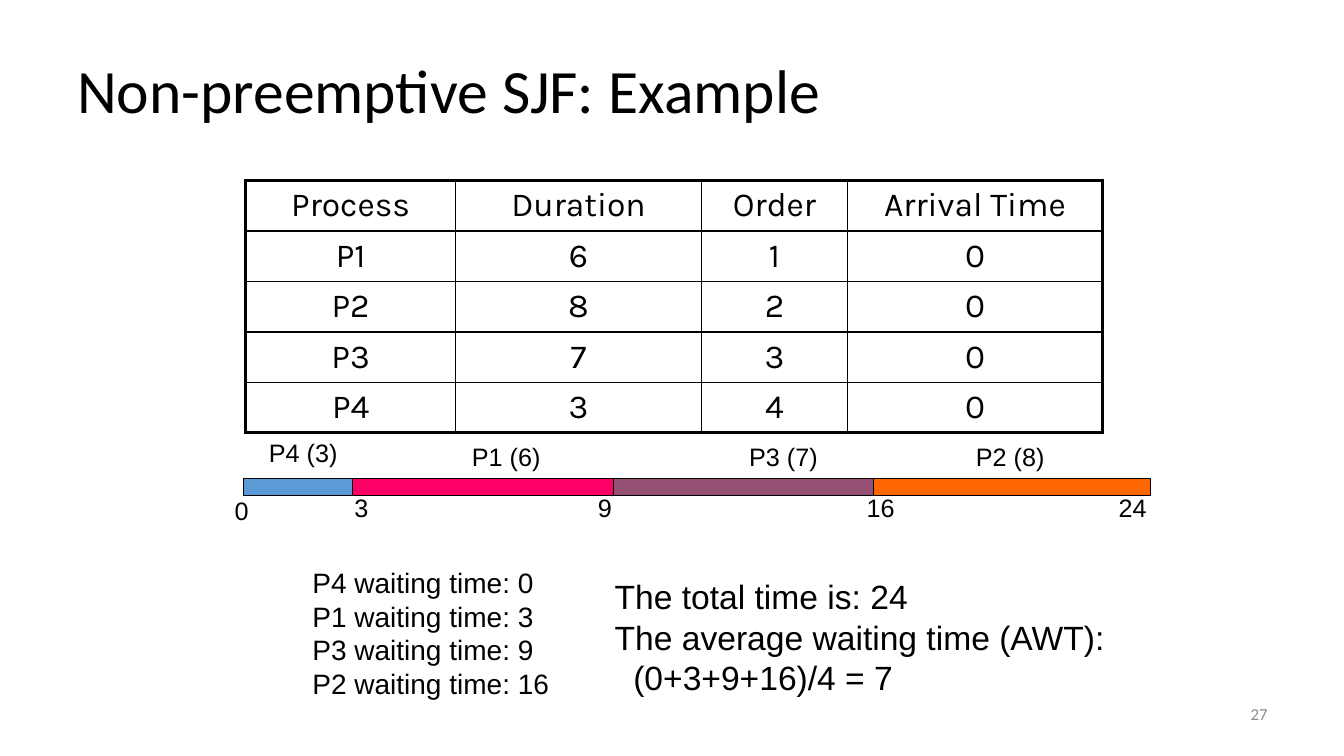
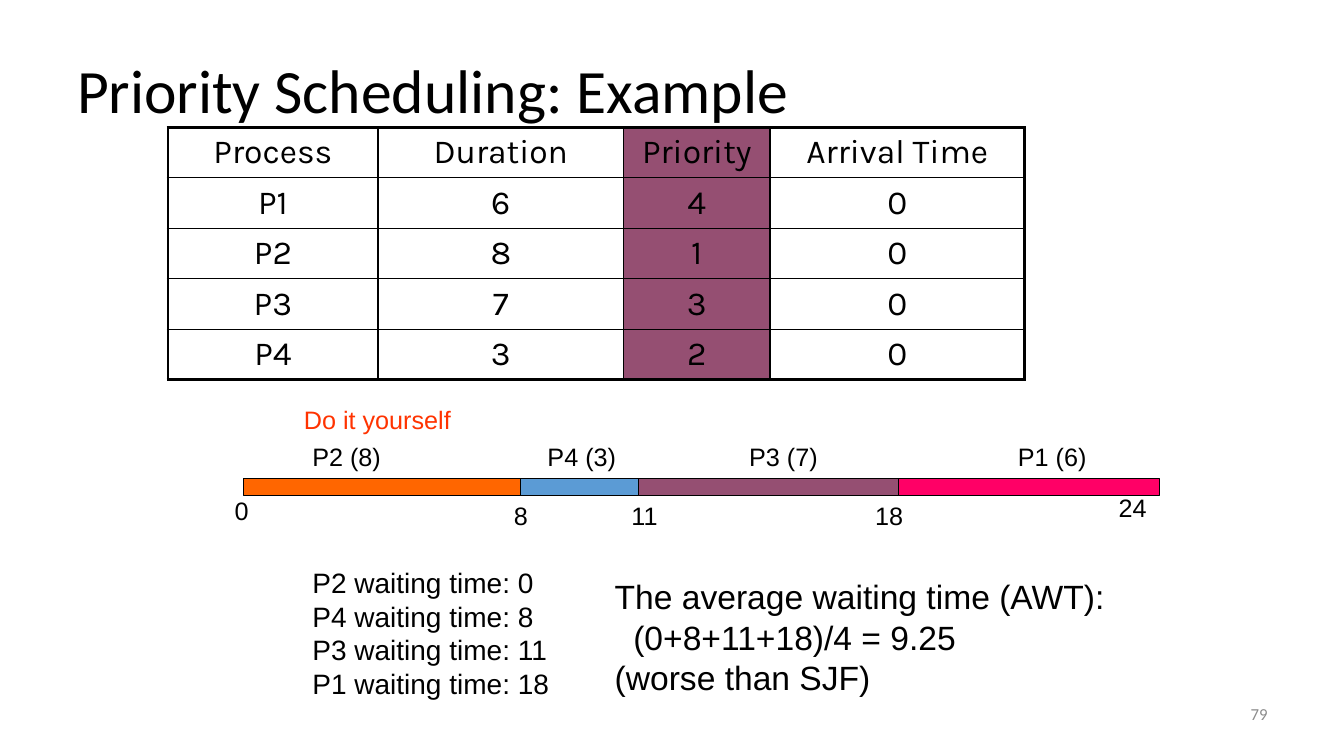
from dataclasses import dataclass
from typing import NamedTuple, Optional

from pptx import Presentation
from pptx.dml.color import RGBColor as RGB
from pptx.enum.dml import MSO_LINE_DASH_STYLE as DASH
from pptx.enum.shapes import MSO_CONNECTOR as CONN, MSO_SHAPE as SHAPE
from pptx.enum.text import MSO_ANCHOR as ANCHOR, PP_ALIGN as ALIGN
from pptx.oxml.ns import qn
from pptx.slide import Slide
from pptx.util import Pt
from lxml.etree import SubElement


# Theme
@dataclass(frozen=True)
class Theme:
    ink: str = "000000"
    muted: str = "8C8C8C"
    accent: str = "FF3300"
    column: str = "954F72"
    title_font: str = "Calibri"
    table_font: str = "Karla"
    body_font: str = "Arial"
    title: int = 44
    large: int = 24
    waiting: int = 20
    label: int = 18
    footer: int = 12
    thin: float = 1
    thick: float = 2.25
    hairline: float = 0.75


T = Theme()
JOB_COLORS = {"P1": "FF0066", "P2": "FF6600", "P3": "954F72", "P4": "5B9BD5"}
DURATIONS = {"P1": 6, "P2": 8, "P3": 7, "P4": 3}
COLUMN_WIDTHS = (150, 175.5, 104.5, 182)
ROW_HEIGHT = 35.3
BAR_TOP, BAR_HEIGHT = 342, 12
AXIS_Y, AXIS_LEFT, AXIS_RIGHT = 348, 174, 822
RESULT_INDENT = 13.3


# Content types
class Box(NamedTuple):
    left: float
    top: float
    width: float
    height: float


class Segment(NamedTuple):
    job: str
    start: int
    left: float
    label_left: float
    label_top: float = 312


class Tick(NamedTuple):
    time: int
    left: float
    top: float


class Line(NamedTuple):
    text: str
    indent: float = 0


@dataclass(frozen=True)
class Example:
    title: str
    number: int
    table_left: float
    table_top: float
    rank_name: str
    ranks: tuple[int, ...]
    rank_fill: Optional[str]
    segments: tuple[Segment, ...]
    bar_end: float
    ticks: tuple[Tick, ...]
    summary: tuple[Line, ...]
    prompt: Optional[str] = None


EXAMPLES = (
    Example(
        "Non-preemptive SJF: Example", 27, 175.5, 129, "Order", (1, 2, 3, 4), None,
        (Segment("P4", 0, 174, 185, 309), Segment("P1", 3, 252, 330),
         Segment("P3", 9, 438, 528), Segment("P2", 16, 624, 690)),
        822,
        (Tick(0, 160.5, 350.5), Tick(3, 246, 348), Tick(9, 420, 348),
         Tick(16, 612, 348), Tick(24, 792, 348)),
        (Line("The total time is: 24"), Line("The average waiting time (AWT):"),
         Line("(0+3+9+16)/4 = 7", RESULT_INDENT)),
    ),
    Example(
        "Priority Scheduling: Example", 79, 120, 91, "Priority", (4, 1, 3, 2), T.column,
        (Segment("P2", 0, 174, 216), Segment("P4", 8, 372, 384),
         Segment("P3", 11, 456, 528), Segment("P1", 18, 642, 720)),
        828,
        (Tick(0, 160.5, 350.5), Tick(8, 360, 354), Tick(11, 444, 354),
         Tick(18, 618, 354), Tick(24, 792, 348)),
        (Line("The average waiting time (AWT):"),
         Line("(0+8+11+18)/4 = 9.25", RESULT_INDENT), Line("(worse than SJF)")),
        "Do it yourself",
    ),
)


# Drawing helpers
def add_text(s: Slide, box: Box, lines: tuple[Line, ...], size: float,
             font: str = T.body_font, color: str = T.ink, align: ALIGN = ALIGN.LEFT,
             anchor: ANCHOR = ANCHOR.TOP, spacing: Optional[float] = None) -> None:
    tf = s.shapes.add_textbox(*map(Pt, box)).text_frame
    tf.word_wrap = True
    tf.vertical_anchor = anchor
    for i, line in enumerate(lines):
        p = tf.add_paragraph() if i else tf.paragraphs[0]
        p.text = line.text
        p.alignment = align
        if spacing:
            p.line_spacing = spacing
        if line.indent:
            p._p.get_or_add_pPr().set("marL", str(Pt(line.indent)))
        style_font(p, font, size, color)


def style_font(p, font: str, size: float, color: str) -> None:
    p.font.name = font
    p.font.size = Pt(size)
    p.font.color.rgb = RGB.from_string(color)


def add_border(cell, side: str, width: float) -> None:
    ln = SubElement(cell._tc.get_or_add_tcPr(), qn(f"a:ln{side}"), w=str(Pt(width)))
    SubElement(SubElement(ln, qn("a:solidFill")), qn("a:srgbClr"), val=T.ink)


def add_process_table(s: Slide, ex: Example) -> None:
    rows = [("Process", "Duration", ex.rank_name, "Arrival Time")]
    rows += [(job, d, rank, 0) for (job, d), rank in zip(DURATIONS.items(), ex.ranks)]
    last_row, last_col = len(rows) - 1, len(COLUMN_WIDTHS) - 1
    box = Box(ex.table_left, ex.table_top, sum(COLUMN_WIDTHS), ROW_HEIGHT * len(rows))
    table = s.shapes.add_table(len(rows), len(COLUMN_WIDTHS), *map(Pt, box)).table
    table.first_row = table.horz_banding = False
    for column, width in zip(table.columns, COLUMN_WIDTHS):
        column.width = Pt(width)
    for r, values in enumerate(rows):
        table.rows[r].height = Pt(ROW_HEIGHT)
        for c, value in enumerate(values):
            cell = table.cell(r, c)
            cell.vertical_anchor = ANCHOR.MIDDLE
            outer = {"L": c == 0, "R": c == last_col, "T": r == 0, "B": r == last_row}
            for side, is_outer in outer.items():
                add_border(cell, side, T.thick if is_outer else T.thin)
            if ex.rank_fill and c == 2:
                cell.fill.solid()
                cell.fill.fore_color.rgb = RGB.from_string(ex.rank_fill)
            else:
                cell.fill.background()
            p = cell.text_frame.paragraphs[0]
            p.text = str(value)
            p.alignment = ALIGN.CENTER
            style_font(p, T.table_font, T.large, T.ink)


def add_timeline(s: Slide, ex: Example) -> None:
    # Dashed time axis
    axis = s.shapes.add_connector(CONN.STRAIGHT, Pt(AXIS_LEFT), Pt(AXIS_Y),
                                  Pt(AXIS_RIGHT), Pt(AXIS_Y))
    axis.line.color.rgb = RGB.from_string(T.ink)
    axis.line.width = Pt(T.hairline)
    axis.line.dash_style = DASH.DASH
    SubElement(axis._element.spPr, qn("a:effectLst"))

    # Job bars, each ending where the next one begins
    ends = [seg.left for seg in ex.segments[1:]] + [ex.bar_end]
    for seg, end in zip(ex.segments, ends):
        box = Box(seg.left, BAR_TOP, end - seg.left, BAR_HEIGHT)
        sp = s.shapes.add_shape(SHAPE.RECTANGLE, *map(Pt, box))
        sp.shadow.inherit = False
        sp.fill.solid()
        sp.fill.fore_color.rgb = RGB.from_string(JOB_COLORS[seg.job])
        sp.line.color.rgb = RGB.from_string(T.ink)
        sp.line.width = Pt(T.hairline)
        add_text(s, Box(seg.label_left, seg.label_top, 66, 29),
                 (Line(f"{seg.job} ({DURATIONS[seg.job]})"),), T.label)

    # Times below the bars
    for tick in ex.ticks:
        add_text(s, Box(tick.left, tick.top, 36, 29), (Line(str(tick.time)),), T.label)


def add_example(prs: Presentation, ex: Example) -> None:
    s = prs.slides.add_slide(prs.slide_layouts[6])
    add_text(s, Box(688.5, 492, 224, 36), (Line(str(ex.number)),), T.footer,
             T.title_font, T.muted, ALIGN.RIGHT, ANCHOR.MIDDLE)
    add_text(s, Box(48, 21.5, 864, 90), (Line(ex.title),), T.title,
             T.title_font, anchor=ANCHOR.MIDDLE, spacing=0.9)
    add_process_table(s, ex)
    add_timeline(s, ex)

    # Results
    waits = tuple(Line(f"{seg.job} waiting time: {seg.start}") for seg in ex.segments)
    add_text(s, Box(216, 400.5, 183.5, 103), waits, T.waiting)
    add_text(s, Box(432, 408, 380, 94.5), ex.summary, T.large)
    if ex.prompt:
        add_text(s, Box(210, 285.5, 124, 29), (Line(ex.prompt),), T.label, color=T.accent)


def main() -> None:
    prs = Presentation()
    prs.slide_width, prs.slide_height = Pt(960), Pt(540)
    for ex in EXAMPLES:
        add_example(prs, ex)
    prs.save("out.pptx")


if __name__ == "__main__":
    main()
